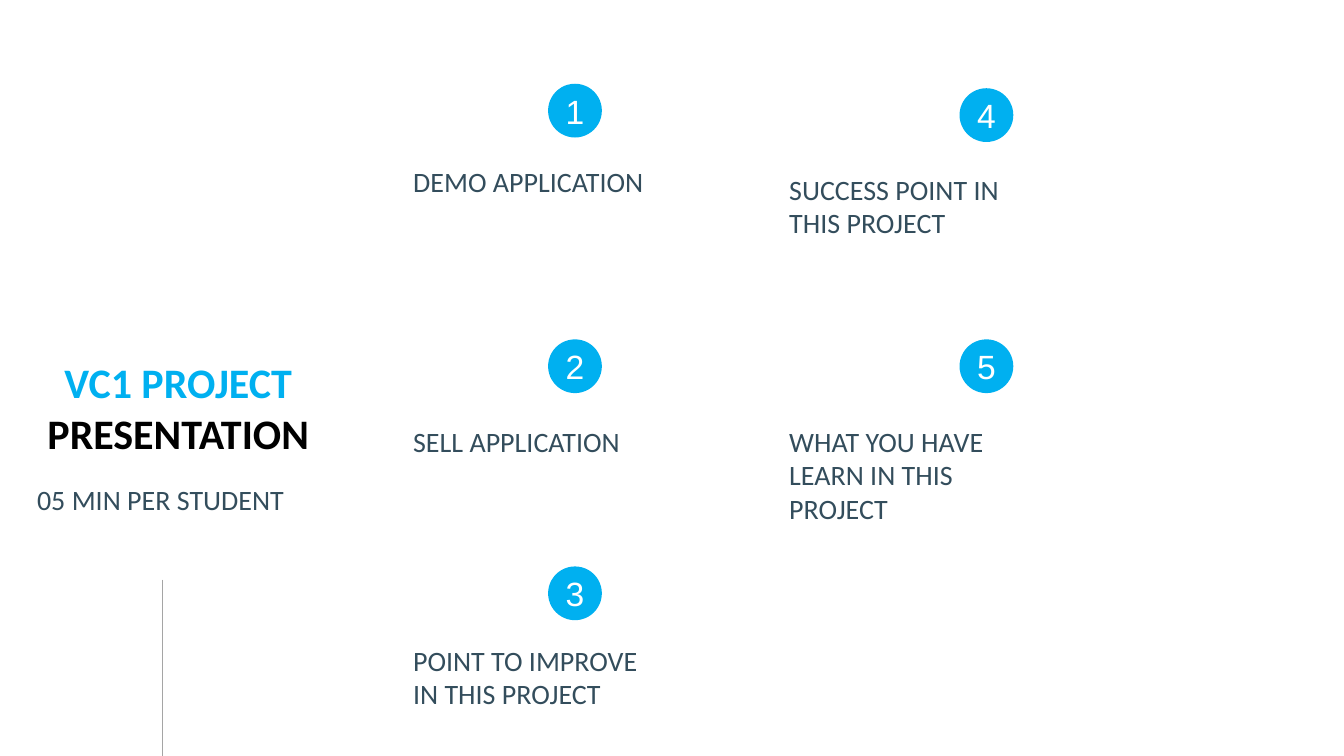
from lxml import etree
from pptx import Presentation
from pptx.dml.color import RGBColor
from pptx.enum.shapes import MSO_CONNECTOR, MSO_SHAPE
from pptx.enum.text import MSO_ANCHOR, MSO_AUTO_SIZE, PP_ALIGN
from pptx.oxml.ns import qn
from pptx.util import Pt

LEFT, CENTER = PP_ALIGN.LEFT, PP_ALIGN.CENTER
TOP, MIDDLE = MSO_ANCHOR.TOP, MSO_ANCHOR.MIDDLE
FIXED = MSO_AUTO_SIZE.NONE
OVAL, STRAIGHT = MSO_SHAPE.OVAL, MSO_CONNECTOR.STRAIGHT

BLUE, SLATE, BLACK, WHITE, GRAY = "00B0F0", "334D5C", "000000", "FFFFFF", "A5A5A5"
TITLE_FONT = {"name": "Calibri", "size": Pt(30), "bold": True}
LABEL_FONT = {"name": "Calibri", "size": Pt(20)}
NUMBER_FONT = {"name": "Arial", "size": Pt(24)}
LABEL_WIDTH = 192
CIRCLE_SIZE = 38.4


def color(value):
    return RGBColor.from_string(value)


def write(shape, lines, font, align=LEFT, anchor=TOP, margins=(7.2, 3.6)):
    """Fill a shape with (text, colour) lines, one paragraph each."""
    frame = shape.text_frame
    frame.word_wrap = True
    frame.auto_size = FIXED
    frame.vertical_anchor = anchor
    frame.margin_left = frame.margin_right = Pt(margins[0])
    frame.margin_top = frame.margin_bottom = Pt(margins[1])
    for index, (text, text_color) in enumerate(lines):
        para = frame.add_paragraph() if index else frame.paragraphs[0]
        para.alignment = align
        span = para.add_run()
        span.text = text
        for key, value in font.items():
            setattr(span.font, key, value)
        span.font.color.rgb = color(text_color)


deck = Presentation()
deck.slide_width, deck.slide_height = Pt(960), Pt(540)
page = deck.slides.add_slide(deck.slide_layouts[5])

title = page.shapes.title
title.left, title.top, title.width, title.height = Pt(19.4), Pt(251.3), Pt(216), Pt(80)
write(title, [("VC1 PROJECT", BLUE), ("PRESENTATION", BLACK)], TITLE_FONT, CENTER)

# Labels: text, left, top, height
labels = [
    ("05 MIN PER STUDENT", 19.4, 341.3, 55.7),
    ("DEMO APPLICATION", 288, 113.8, 31.5),
    ("SELL APPLICATION", 288, 299.5, 31.5),
    ("POINT TO IMPROVE IN THIS PROJECT", 288, 455.8, 55.7),
    ("SUCCESS POINT IN THIS PROJECT", 556.6, 119.5, 55.7),
    ("WHAT YOU HAVE LEARN IN THIS PROJECT", 556.6, 299.5, 80),
]
for text, left, top, height in labels:
    box = page.shapes.add_textbox(Pt(left), Pt(top), Pt(LABEL_WIDTH), Pt(height))
    write(box, [(text, SLATE)], LABEL_FONT)

# Numbered circles: left, top
circles = [(391.5, 59.8), (391.5, 242.4), (391.5, 404.6), (685.4, 63), (685.4, 242.4)]
for number, (left, top) in enumerate(circles, start=1):
    circle = page.shapes.add_shape(
        OVAL, Pt(left), Pt(top), Pt(CIRCLE_SIZE), Pt(CIRCLE_SIZE))
    circle.shadow.inherit = False
    circle.fill.solid()
    circle.fill.fore_color.rgb = color(BLUE)
    circle.line.fill.background()
    write(circle, [(str(number), WHITE)], NUMBER_FONT, CENTER, MIDDLE, (0, 0))

rule = page.shapes.add_connector(STRAIGHT, Pt(116), Pt(414), Pt(116), Pt(540))
rule.line.color.rgb = color(GRAY)
rule.line.width = Pt(0.75)
etree.SubElement(rule._element.spPr, qn("a:effectLst"))

deck.save("out.pptx")
